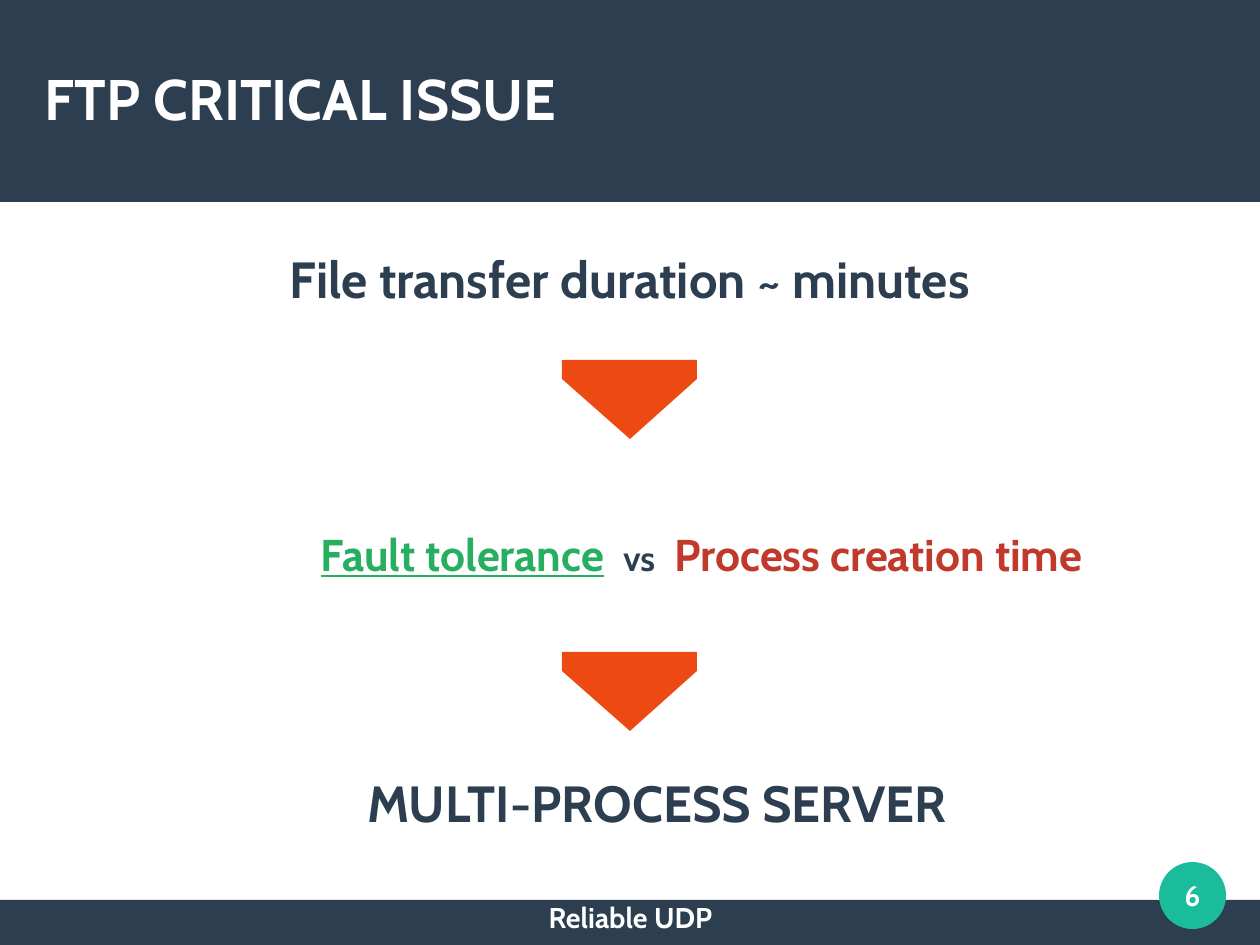
from pptx import Presentation
from pptx.dml.color import RGBColor
from pptx.enum.shapes import MSO_SHAPE
from pptx.enum.text import MSO_ANCHOR, PP_ALIGN
from pptx.util import Pt

RECTANGLE, OVAL = MSO_SHAPE.RECTANGLE, MSO_SHAPE.OVAL
LEFT, CENTER = PP_ALIGN.LEFT, PP_ALIGN.CENTER
TOP, MIDDLE = MSO_ANCHOR.TOP, MSO_ANCHOR.MIDDLE

EMU_PER_PX = 8000
WIDTH, HEIGHT = 1260, 945
FONT = "Cabin"
COLORS = {
    "navy": "2C3E50",
    "teal": "1ABC9C",
    "white": "FFFFFF",
    "orange": "ED4A13",
    "green": "27AE60",
    "red": "C0392B",
}


def px(value):
    return value * EMU_PER_PX


def rgb(name):
    return RGBColor.from_string(COLORS[name])


class SlideBuilder:
    def __init__(self, slide):
        self.slide = slide

    def paint(self, shape, color):
        shape.shadow.inherit = False
        shape.fill.solid()
        shape.fill.fore_color.rgb = rgb(color)
        shape.line.fill.background()

    def shape(self, kind, left, top, width, height, color):
        shape = self.slide.shapes.add_shape(
            kind, px(left), px(top), px(width), px(height))
        self.paint(shape, color)
        return shape

    def polygon(self, points, color):
        builder = self.slide.shapes.build_freeform(*points[0], scale=EMU_PER_PX)
        builder.add_line_segments(points[1:], close=True)
        self.paint(builder.convert_to_shape(), color)

    def label(self, shape, text, size, color, align=CENTER, anchor=MIDDLE):
        frame = shape.text_frame
        frame.word_wrap = True
        frame.vertical_anchor = anchor
        frame.margin_left = frame.margin_right = 0
        frame.margin_top = frame.margin_bottom = 0
        paragraph = frame.paragraphs[0]
        paragraph.text = text
        paragraph.alignment = align
        font = paragraph.font
        font.name, font.size, font.bold = FONT, Pt(size), True
        font.color.rgb = rgb(color)
        return paragraph

    def text(self, left, top, width, height, text, size, color,
             align=CENTER, anchor=TOP):
        box = self.slide.shapes.add_textbox(
            px(left), px(top), px(width), px(height))
        return self.label(box, text, size, color, align, anchor)


def main():
    presentation = Presentation()
    presentation.slide_width, presentation.slide_height = px(WIDTH), px(HEIGHT)
    slide = presentation.slides.add_slide(presentation.slide_layouts[6])
    builder = SlideBuilder(slide)

    # Header, footer and page number
    builder.shape(RECTANGLE, 0, 900, WIDTH, 45, "navy")
    builder.shape(RECTANGLE, 0, 0, WIDTH, 202, "navy")
    badge = builder.shape(OVAL, 1159, 862, 67, 67, "teal")
    builder.label(badge, "6", 18, "white")
    builder.text(45, 38, 1170, 120, "FTP CRITICAL ISSUE", 36, "white",
                 LEFT, MIDDLE)
    builder.text(428, 900, 405, 45, "Reliable UDP", 18, "white")

    # Premise and conclusion
    builder.text(45, 248, 1170, 62, "File transfer duration ~ minutes", 32, "navy")
    builder.text(207, 772, 900, 62, "MULTI-PROCESS SERVER", 32, "navy")

    # Trade-off, with large spaces setting "vs" apart
    trade_off = builder.text(221, 486, 961, 108, "", 28, "navy")
    for text, size, color in (
        ("Fault tolerance", 28, "green"),
        (" ", 54, "navy"),
        ("vs", 22, "navy"),
        (" ", 54, "navy"),
        ("Process creation time", 28, "red"),
    ):
        run = trade_off.add_run()
        run.text = text
        run.font.size = Pt(size)
        run.font.color.rgb = rgb(color)
    trade_off.runs[0].font.underline = True

    # Down arrows
    for top in (360, 652):
        builder.polygon([(562, top), (697, top), (697, top + 19),
                         (630, top + 79), (562, top + 19)], "orange")

    presentation.save("out.pptx")


if __name__ == "__main__":
    main()
